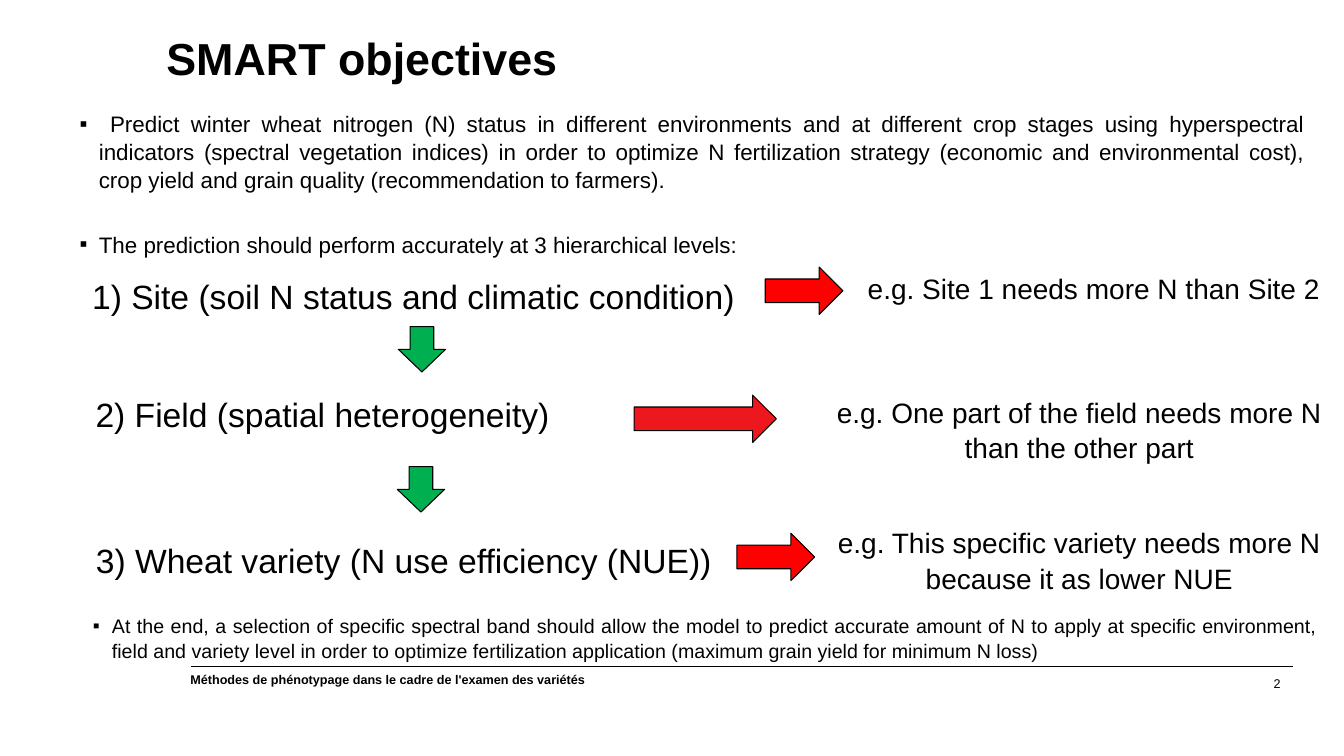
from pptx import Presentation
from pptx.dml.color import RGBColor
from pptx.enum.shapes import MSO_CONNECTOR, MSO_SHAPE
from pptx.enum.text import MSO_ANCHOR, PP_ALIGN
from pptx.oxml.ns import qn
from pptx.util import Inches, Pt
from lxml import etree

BLACK = RGBColor(0x00, 0x00, 0x00)
GREEN = RGBColor(0x00, 0xB0, 0x50)
RED = RGBColor(0xFF, 0x00, 0x00)
DARK_RED = RGBColor(0xED, 0x18, 0x1E)
LEFT, CENTER = PP_ALIGN.LEFT, PP_ALIGN.CENTER
RIGHT, JUSTIFY = PP_ALIGN.RIGHT, PP_ALIGN.JUSTIFY
TOP = MSO_ANCHOR.TOP
DOWN_ARROW = MSO_SHAPE.DOWN_ARROW
STRAIGHT = MSO_CONNECTOR.STRAIGHT
FONT = "Arial"
INDENT = Inches(0.19)

# Level text and its box, then example text and its box
LEVELS = [
    ("1) Site (soil N status and climatic condition)", (0.36, 2.67, 7.48, 0.5),
     "e.g. Site 1 needs more N than Site 2", (8.36, 2.63, 4.98, 0.44)),
    ("2) Field (spatial heterogeneity) ", (0.7, 3.84, 5.09, 0.5),
     "e.g. One part of the field needs more N than the other part",
     (7.91, 3.86, 5.59, 0.77)),
    ("3) Wheat variety (N use efficiency (NUE)) ", (0.84, 5.29, 6.42, 0.5),
     "e.g. This specific variety needs more N because it as lower NUE",
     (7.91, 5.15, 5.59, 0.77)),
]

# Box, colour, rotation
ARROWS = [
    ((3.95, 3.24, 0.47, 0.45), GREEN, 0),
    ((3.94, 4.63, 0.47, 0.45), GREEN, 0),
    ((7.74, 2.5, 0.47, 0.77), RED, 270),
    ((6.76, 3.45, 0.47, 1.41), DARK_RED, 270),
    ((7.46, 5.14, 0.47, 0.77), RED, 270),
]

GOALS = [
    " Predict winter wheat nitrogen (N) status in different environments and "
    "at different crop stages using hyperspectral indicators (spectral "
    "vegetation indices) in order to optimize N fertilization strategy "
    "(economic and environmental cost), crop yield and grain quality "
    "(recommendation to farmers).",
    "The prediction should perform accurately at 3 hierarchical levels:",
]
CONCLUSION = [
    "At the end, a selection of specific spectral band should allow the model "
    "to predict accurate amount of N to apply at specific environment, field "
    "and variety level in order to optimize fertilization application "
    "(maximum grain yield for minimum N loss)",
]


def inches(box):
    return [Inches(v) for v in box]


def set_attributes(target, values):
    for name, value in values.items():
        setattr(target, name, value)


def format_font(font, size, bold=False):
    set_attributes(font, {"name": FONT, "size": Pt(size), "bold": bold})
    font.color.rgb = BLACK


def remove_insets(tf):
    set_attributes(tf, {"margin_left": 0, "margin_right": 0,
                        "margin_top": 0, "margin_bottom": 0})


def add_bullet(p):
    p_pr = p._p.get_or_add_pPr()
    p_pr.set("marL", str(INDENT))
    p_pr.set("indent", str(-INDENT))
    etree.SubElement(p_pr, qn("a:buFont")).set("typeface", FONT)
    etree.SubElement(p_pr, qn("a:buChar")).set("char", "▪")


def add_text(slide, box, paragraphs, size, align=LEFT, bold=False,
             inset=True, bullet=False, gap=0):
    tf = slide.shapes.add_textbox(*inches(box)).text_frame
    set_attributes(tf, {"word_wrap": True, "vertical_anchor": TOP})
    if not inset:
        remove_insets(tf)
    for i, text in enumerate(paragraphs):
        p = tf.add_paragraph() if i else tf.paragraphs[0]
        set_attributes(p, {"alignment": align, "line_spacing": 1.05})
        if i:
            p.space_before = Pt(gap)
        if bullet:
            add_bullet(p)
        r = p.add_run()
        r.text = text
        format_font(r.font, size, bold)


def add_arrow(slide, box, color, rotation):
    s = slide.shapes.add_shape(DOWN_ARROW, *inches(box))
    s.rotation = rotation
    s.shadow.inherit = False
    s.fill.solid()
    s.fill.fore_color.rgb = color
    s.line.color.rgb = BLACK
    s.line.width = Pt(0.75)


def add_rule(slide, x1, x2, y):
    c = slide.shapes.add_connector(STRAIGHT, *inches((x1, y, x2, y)))
    c.line.color.rgb = BLACK
    c.line.width = Pt(0.75)
    etree.SubElement(c._element.spPr, qn("a:effectLst"))


def set_title(slide, box, text):
    title = slide.shapes.title
    set_attributes(title, dict(zip(("left", "top", "width", "height"),
                                   inches(box))))
    tf = title.text_frame
    set_attributes(tf, {"word_wrap": True, "vertical_anchor": TOP})
    remove_insets(tf)
    p = tf.paragraphs[0]
    set_attributes(p, {"alignment": LEFT, "line_spacing": 0.9})
    r = p.add_run()
    r.text = text
    format_font(r.font, 32, True)


def main():
    prs = Presentation()
    prs.slide_width, prs.slide_height = Inches(13.33), Inches(7.5)
    slide = prs.slides.add_slide(prs.slide_layouts[5])

    # Footer
    add_rule(slide, 1.89, 12.82, 6.61)
    add_text(slide, (9.39, 6.7, 3.31, 0.16), ["2"], 9, RIGHT, inset=False)
    add_text(slide, (1.79, 6.61, 6.43, 0.25),
             ["Méthodes de phénotypage dans le cadre de l'examen des variétés"],
             9, bold=True)

    # Title and goals
    set_title(slide, (1.65, 0.36, 11.5, 1.45), "SMART objectives")
    add_text(slide, (0.79, 1.08, 12.15, 1.27), GOALS, 16, JUSTIFY,
             inset=False, bullet=True, gap=25.7)

    # Hierarchical levels with examples
    for level, level_box, example, example_box in LEVELS:
        add_text(slide, level_box, [level], 24, CENTER)
        add_text(slide, example_box, [example], 20, CENTER)
    for box, color, rotation in ARROWS:
        add_arrow(slide, box, color, rotation)

    # Conclusion
    add_text(slide, (0.92, 6.08, 12.15, 0.63), CONCLUSION, 14, JUSTIFY,
             inset=False, bullet=True)

    prs.save("out.pptx")


if __name__ == "__main__":
    main()
